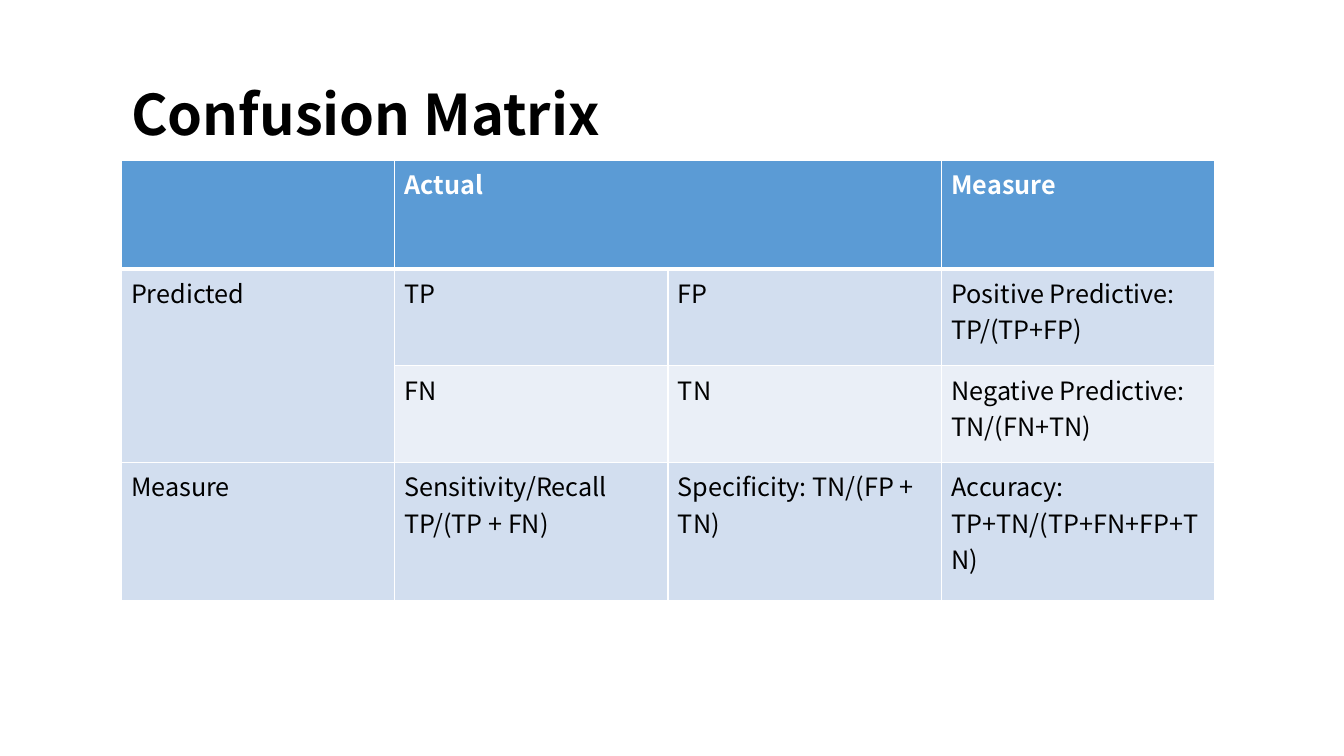
from lxml import etree
from pptx import Presentation
from pptx.dml.color import RGBColor
from pptx.enum.text import MSO_ANCHOR, MSO_AUTO_SIZE
from pptx.oxml.ns import qn
from pptx.util import Inches, Pt

MIDDLE = MSO_ANCHOR.MIDDLE
GROW = MSO_AUTO_SIZE.SHAPE_TO_FIT_TEXT
TITLE_ONLY = 5

FONT = "Noto Sans CJK SC"
COLORS = {
    "white": "FFFFFF",
    "black": "000000",
    "head": "5B9BD5",
    "odd": "D2DEEF",
    "even": "EAEFF7",
}
ROWS = [
    ["", "Actual", "", "Measure"],
    ["Predicted", "TP", "FP", "Positive Predictive: TP/(TP+FP)"],
    ["", "FN", "TN", "Negative Predictive: TN/(FN+TN)"],
    ["Measure", "Sensitivity/Recall TP/(TP + FN)",
     "Specificity: TN/(FP + TN)", "Accuracy: TP+TN/(TP+FN+FP+TN)"],
]
HEIGHTS = [1.08, 0.96, 0.96, 1.37]
SPANS = [((0, 1), (0, 2)), ((1, 0), (2, 0))]


class Deck:
    def __init__(self):
        self.prs = Presentation()
        self.prs.slide_width = Inches(13.33)
        self.prs.slide_height = Inches(7.5)
        layout = self.prs.slide_layouts[TITLE_ONLY]
        self.slide = self.prs.slides.add_slide(layout)

    def style(self, para, size, color, bold):
        font = para.font
        font.name, font.size, font.bold = FONT, Pt(size), bold
        font.color.rgb = RGBColor.from_string(COLORS[color])

    def title(self, text, *box):
        shape = self.slide.shapes.title
        shape.left, shape.top, shape.width, shape.height = map(Inches, box)
        frame = shape.text_frame
        frame.text = text
        frame.word_wrap = True
        frame.auto_size = GROW
        frame.vertical_anchor = MIDDLE
        para = frame.paragraphs[0]
        para.alignment = 1  # left
        self.style(para, 40, "black", True)

    def border(self, cell, widths):
        props = cell._tc.get_or_add_tcPr()
        for i, (side, width) in enumerate(widths.items()):
            line = etree.Element(qn(f"a:ln{side}"), w=str(Pt(width)))
            fill = etree.SubElement(line, qn("a:solidFill"))
            etree.SubElement(fill, qn("a:srgbClr"), val=COLORS["white"])
            props.insert(i, line)

    def cell(self, cell, text, row):
        head = row == 0
        shade = "head" if head else "odd" if row % 2 else "even"
        cell.fill.solid()
        cell.fill.fore_color.rgb = RGBColor.from_string(COLORS[shade])
        cell.text = text
        self.style(cell.text_frame.paragraphs[0], 18,
                   "white" if head else "black", head)
        # The rule under the header row is thicker
        self.border(cell, {"L": 1, "R": 1, "T": 3 if row == 1 else 1,
                           "B": 3 if head else 1})

    def table(self, rows, heights, spans, left, top, width):
        cols = len(rows[0])
        frame = self.slide.shapes.add_table(
            len(rows), cols, Inches(left), Inches(top),
            Inches(width), Inches(sum(heights)))
        grid = frame.table
        for col in grid.columns:
            col.width = Inches(width / cols)
        for r, (texts, height) in enumerate(zip(rows, heights)):
            grid.rows[r].height = Inches(height)
            for c, text in enumerate(texts):
                self.cell(grid.cell(r, c), text, r)
        for start, end in spans:
            grid.cell(*start).merge(grid.cell(*end))


def main():
    deck = Deck()
    # Heading
    deck.title("Confusion Matrix", 1.2, 0.74, 5.46, 0.77)
    # Matrix of outcomes and measures
    deck.table(ROWS, HEIGHTS, SPANS, 1.2, 1.59, 10.85)
    deck.prs.save("out.pptx")


if __name__ == "__main__":
    main()
